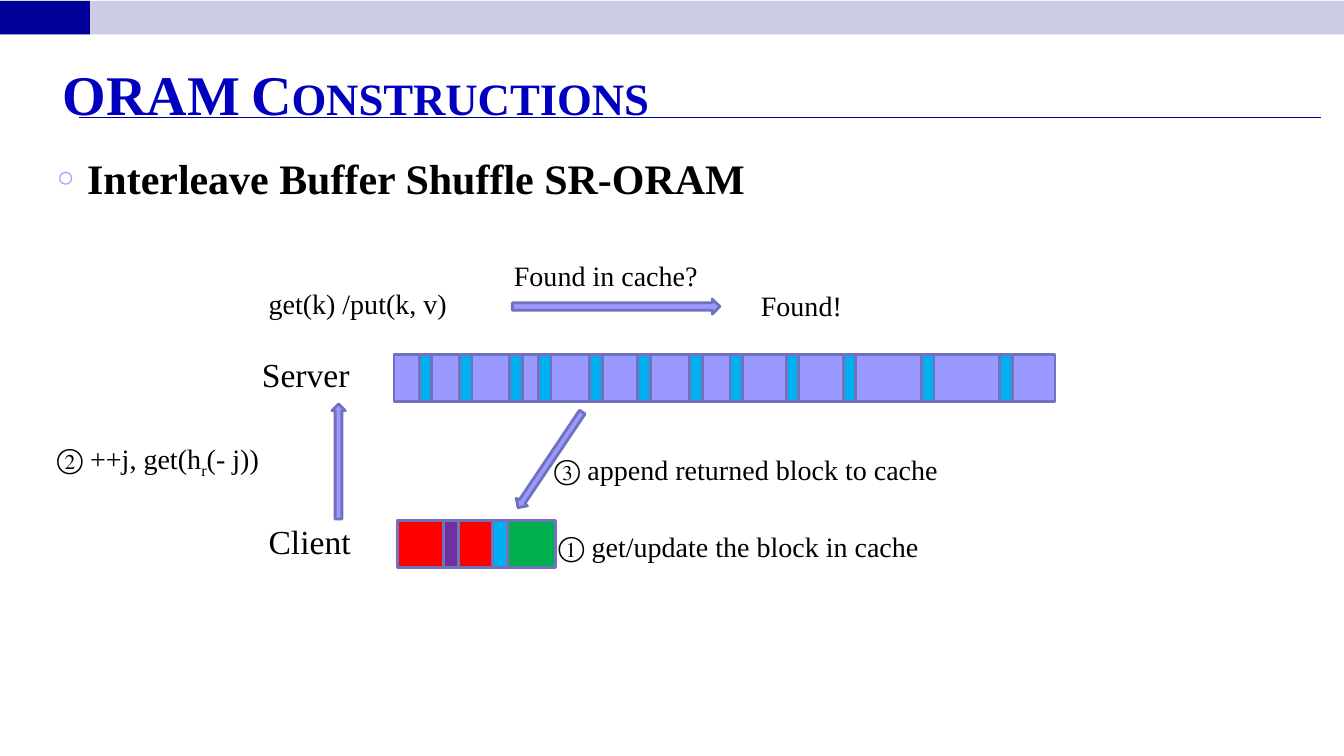
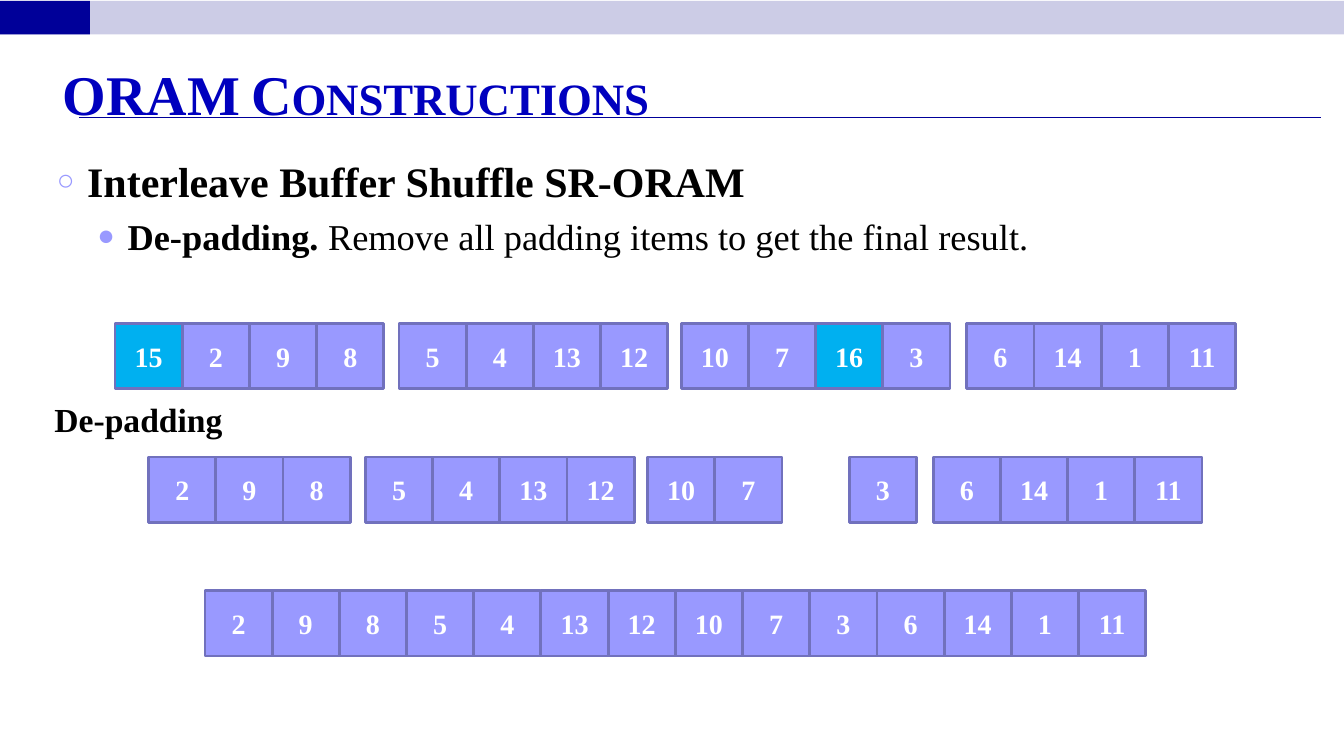
from dataclasses import dataclass

from lxml import etree
from pptx import Presentation
from pptx.dml.color import RGBColor
from pptx.enum.shapes import MSO_CONNECTOR, MSO_SHAPE
from pptx.enum.text import MSO_ANCHOR, MSO_AUTO_SIZE, PP_ALIGN
from pptx.oxml.ns import qn
from pptx.util import Emu, Pt

RECT = MSO_SHAPE.RECTANGLE
RIGHT, UP, DOWN = MSO_SHAPE.RIGHT_ARROW, MSO_SHAPE.UP_ARROW, MSO_SHAPE.DOWN_ARROW
STRAIGHT = MSO_CONNECTOR.STRAIGHT
TOP, MIDDLE, BOTTOM = MSO_ANCHOR.TOP, MSO_ANCHOR.MIDDLE, MSO_ANCHOR.BOTTOM
CENTER = PP_ALIGN.CENTER

# Grid of 160 columns by 90 rows of square units
SLIDE_W, SLIDE_H = Emu(12192000), Emu(6858000)
UNIT = SLIDE_W / 160


@dataclass(frozen=True)
class Theme:
    font: str = "Times New Roman"
    band: str = "CCCCE6"
    navy: str = "000099"
    title: str = "0000BE"
    ink: str = "000000"
    white: str = "FFFFFF"
    block: str = "9999FF"
    edge: str = "7171BD"
    cyan: str = "00B0F0"
    red: str = "FF0000"
    green: str = "00B050"
    purple: str = "7030A0"
    title_size: int = 40
    head_size: int = 30
    point_size: int = 26
    name_size: int = 24
    label_size: int = 20


THEME = Theme()


@dataclass(frozen=True)
class Box:
    x: float
    y: float
    w: float
    h: float

    def inner(self, x, y, w, h):
        return Box(self.x + x, self.y + y, w, h)

    def emu(self):
        return [grid(v) for v in (self.x, self.y, self.w, self.h)]


TITLE_BOX = Box(6.3, 6.2, 147, 8.9)
DIAGRAM_BOX = Box(5.6, 30, 110, 38)
ROWS_BOX = Box(13.7, 38.5, 133.4, 39.6)


def grid(units):
    return Emu(round(units * UNIT))


def rgb(color):
    return RGBColor.from_string(color)


def add_run(paragraph, text, size, color=THEME.ink, bold=False, **marks):
    run = paragraph.add_run()
    run.text = text
    run.font.color.rgb = rgb(color)
    for key, value in {"name": THEME.font, "size": Pt(size), "bold": bold}.items():
        setattr(run.font, key, value)
    props = run._r.get_or_add_rPr()
    for key, value in marks.items():
        props.set(key, value)


def add_block(slide, box, fill, kind=RECT, edge=THEME.edge, rotation=0):
    block = slide.shapes.add_shape(kind, *box.emu())
    block.shadow.inherit = False
    block.rotation = rotation
    block.fill.solid()
    block.fill.fore_color.rgb = rgb(fill)
    if edge:
        block.line.color.rgb = rgb(edge)
        block.line.width = Pt(2)
    else:
        block.line.fill.background()
    return block


def add_text(slide, box, **frame_format):
    frame = slide.shapes.add_textbox(*box.emu()).text_frame
    for key, value in {"word_wrap": True, **frame_format}.items():
        setattr(frame, key, value)
    return frame


def add_label(slide, box, runs, size=THEME.label_size, bold=False):
    """One line that fits its text; runs are (text, extra marks)."""
    frame = add_text(slide, box, word_wrap=False,
                     auto_size=MSO_AUTO_SIZE.SHAPE_TO_FIT_TEXT)
    for text, marks in runs:
        add_run(frame.paragraphs[0], text, size, bold=bold, **marks)


def add_bullet(paragraph, char, share, indent, before):
    paragraph.space_before = Pt(before)
    props = paragraph._p.get_or_add_pPr()
    props.set("marL", str(grid(indent)))
    props.set("indent", str(-grid(3.6)))
    color = etree.SubElement(props, qn("a:buClr"))
    etree.SubElement(color, qn("a:srgbClr")).set("val", THEME.block)
    etree.SubElement(props, qn("a:buSzPct")).set("val", str(share * 1000))
    etree.SubElement(props, qn("a:buFont")).set("typeface", THEME.font)
    etree.SubElement(props, qn("a:buChar")).set("char", char)


def new_slide(deck):
    """Blank slide with the band, rule and title."""
    slide = deck.slides.add_slide(deck.slide_layouts[6])
    add_block(slide, Box(0, 0.1, 160, 4), THEME.band, edge=None)
    add_block(slide, Box(0, 0.1, 10.7, 4), THEME.navy, edge=None)
    rule = slide.shapes.add_connector(
        STRAIGHT, *[grid(v) for v in (9.4, 14, 157.3, 14)])
    rule.line.color.rgb = rgb(THEME.navy)
    rule.line.width = Pt(0.75)
    etree.SubElement(rule._element.spPr, qn("a:effectLst"))
    title = add_text(slide, TITLE_BOX, vertical_anchor=BOTTOM, margin_bottom=0)
    add_run(title.paragraphs[0], "ORAM Constructions", THEME.title_size,
            THEME.title, True, cap="small")
    return slide


def add_body(slide, box, point=None):
    """Heading bullet and an optional (lead, text) point below it."""
    frame = add_text(slide, box, vertical_anchor=TOP)
    heading = frame.paragraphs[0]
    add_bullet(heading, "○", 70, 3.6, 6)
    add_run(heading, "Interleave Buffer Shuffle SR-ORAM", THEME.head_size, bold=True)
    if point:
        lead, text = point
        detail = frame.add_paragraph()
        detail.level = 1
        add_bullet(detail, "●", 80, 8.4, 6)
        add_run(detail, lead, THEME.point_size, bold=True)
        add_run(detail, text, THEME.point_size)


def add_server(slide, box):
    add_block(slide, box, THEME.block)
    for x in (3, 7.8, 13.8, 17.2, 23.3, 29, 35.2, 40, 46.7, 53.5, 62.8, 72.1):
        add_block(slide, box.inner(x, 0, 1.5, box.h), THEME.cyan)


def add_client(slide, box):
    add_block(slide, box, THEME.green)
    for x, width, fill in ((11.3, 1.8, THEME.cyan), (0, 11.3, THEME.red),
                           (5.5, 1.8, THEME.purple)):
        add_block(slide, box.inner(x, 0, width, box.h), fill)


def add_diagram(slide, box):
    """Query flow between server and client."""
    add_server(slide, box.inner(41.3, 12.2, 78.7, 5.6))
    add_client(slide, box.inner(41.7, 32, 18.8, 5.6))

    # Arrows
    for kind, place, turn in ((RIGHT, (55.4, 5.6, 24.7, 1.8), 0),
                              (UP, (33.9, 18.1, 1.6, 13.7), 0),
                              (DOWN, (59.1, 17.9, 1.6, 13.7), 33.9)):
        add_block(slide, box.inner(*place), THEME.block, kind, rotation=turn)

    # Names of the two sides
    for name, place in (("Server", (24.4, 11.6, 13, 6)),
                        ("Client", (25.2, 31.4, 12.2, 6))):
        add_label(slide, box.inner(*place), [(name, {})], THEME.name_size)

    # Steps
    fetch = [("② ++j, get(h", {}), ("r", {"baseline": "-25000"}), ("(- j))", {})]
    steps = (
        ((54.4, 0.2, 24.5), [("Found in cache?", {})]),
        ((83.8, 3.8, 12.1), [("Found!", {})]),
        ((25.2, 3.5, 23.8), [("get(k) /put(k, v)", {})]),
        ((0, 22, 28), fetch),
        ((59.2, 23.3, 48.6), [("③ append returned block to cache", {})]),
        ((59.7, 32.4, 45.8), [("① get/update the block in cache", {})]),
    )
    for place, runs in steps:
        add_label(slide, box.inner(*place, 5.3), runs)


def add_item_row(slide, box, groups, padding=()):
    """Centred cells; groups are (gap before, items)."""
    cell = 8
    x = (box.w - sum(gap + cell * len(items) for gap, items in groups)) / 2
    for gap, items in groups:
        x += gap
        for item in items:
            fill = THEME.cyan if item in padding else THEME.block
            frame = add_block(slide, box.inner(x, 0, cell, box.h), fill).text_frame
            frame.vertical_anchor = MIDDLE
            frame.paragraphs[0].alignment = CENTER
            add_run(frame.paragraphs[0], str(item), THEME.label_size,
                    THEME.white, True)
            x += cell


def add_depadding(slide, box):
    """Padded rows, rows without padding, and the joined result."""
    padding = (15, 16)
    padded = [(0, (15, 2, 9, 8)), (1.8, (5, 4, 13, 12)),
              (1.6, (10, 7, 16, 3)), (2, (6, 14, 1, 11))]
    kept = [(0, (2, 9, 8)), (1.8, (5, 4, 13, 12)), (1.6, (10, 7)),
            (8, (3,)), (2, (6, 14, 1, 11))]
    joined = [(0, [item for _, items in kept for item in items])]
    for index, groups in enumerate((padded, kept, joined)):
        add_item_row(slide, box.inner(0, 15.9 * index, box.w, 7.8), groups, padding)
    add_label(slide, box.inner(-8.4, 8.4, 22.7, 6), [("De-padding", {})],
              THEME.name_size, True)


def main():
    deck = Presentation()
    deck.slide_width, deck.slide_height = SLIDE_W, SLIDE_H

    query = new_slide(deck)
    add_body(query, Box(5.6, 17.6, 143.6, 65.8))
    add_diagram(query, DIAGRAM_BOX)

    result = new_slide(deck)
    add_body(result, Box(5.6, 17.9, 143.6, 32.8),
             ("De-padding. ", "Remove all padding items to get the final result."))
    add_depadding(result, ROWS_BOX)

    deck.save("out.pptx")


if __name__ == "__main__":
    main()
